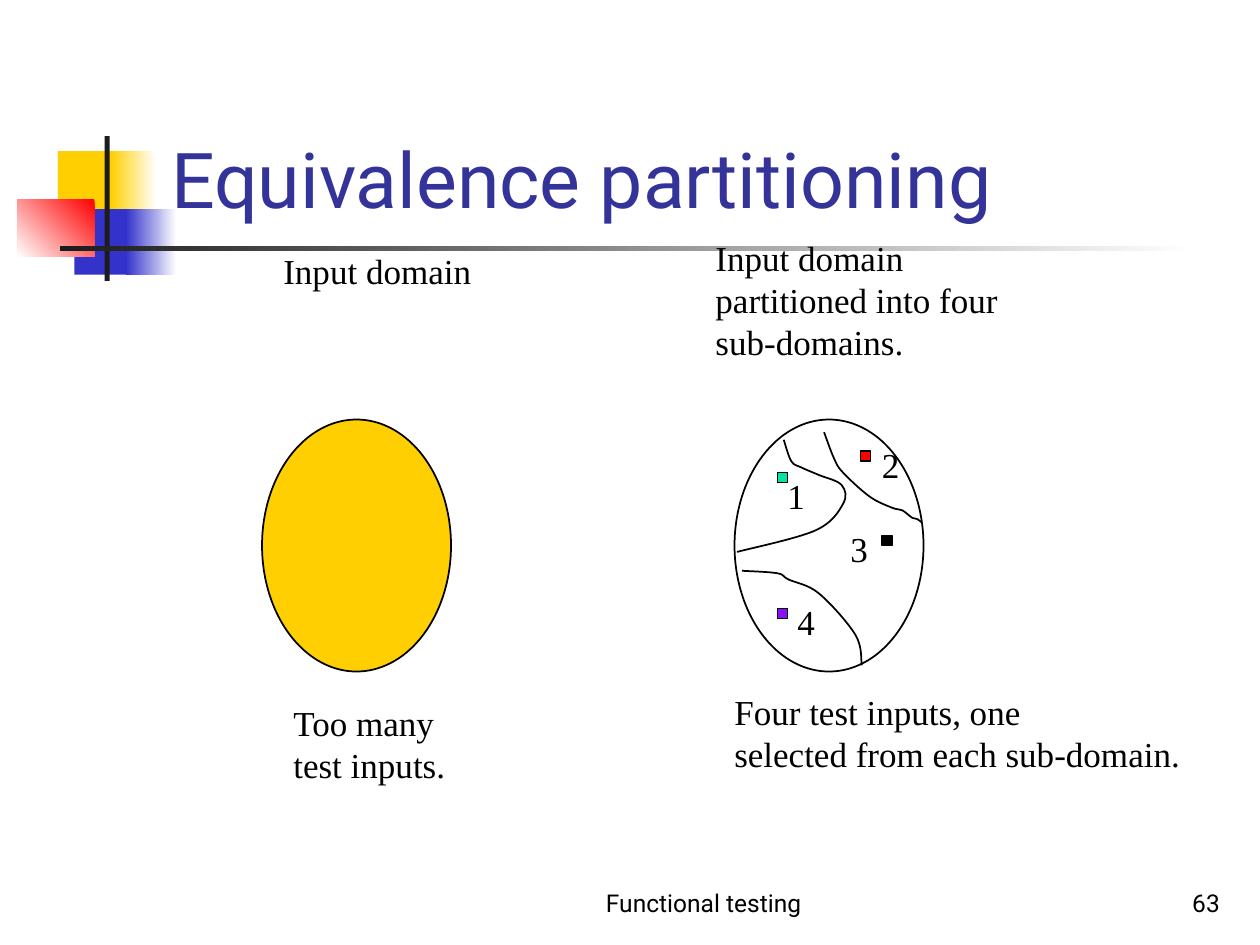
from dataclasses import dataclass
from typing import Optional

from lxml.etree import SubElement
from pptx import Presentation
from pptx.dml.color import RGBColor as Rgb
from pptx.enum.shapes import MSO_SHAPE as Kind
from pptx.enum.text import MSO_ANCHOR as Anchor, MSO_AUTO_SIZE as Fit, PP_ALIGN as Align
from pptx.oxml.ns import qn
from pptx.util import Inches, Pt

HUES = {
    "gold": "FFCF01", "blue": "3333CC", "red": "FF0000", "dark": "1C1C1C",
    "white": "FFFFFF", "black": "000000", "title": "333399",
    "mint": "00E4A8", "violet": "890FF7",
}
SANS, SERIF = "Roboto", "Times New Roman"
Point = tuple[float, float]
Box = tuple[float, float, float, float]


@dataclass
class Block:
    box: Box
    hue: Optional[str] = None
    fade: Optional[str] = None
    angle: float = 180
    kind: Kind = Kind.RECTANGLE
    edge: bool = False


@dataclass
class Label:
    box: Box
    lines: list[str]
    size: float = 20
    font: str = SERIF
    hue: str = "black"
    align: Align = Align.LEFT
    anchor: Anchor = Anchor.TOP
    wrap: bool = False


def color(name: str) -> Rgb:
    return Rgb.from_string(HUES[name])


def outline(shape) -> None:
    shape.shadow.inherit = False
    shape.line.color.rgb = color("black")
    shape.line.width = Pt(1)


def draw_block(shapes, item: Block) -> None:
    shape = shapes.add_shape(item.kind, *map(Inches, item.box))
    outline(shape)
    if not item.edge:
        shape.line.fill.background()
    if item.fade:
        shape.fill.gradient()
        shape.fill.gradient_angle = item.angle
        for stop, name in zip(shape.fill.gradient_stops, (item.hue, item.fade)):
            stop.color.rgb = color(name)
    elif item.hue:
        shape.fill.solid()
        shape.fill.fore_color.rgb = color(item.hue)
    else:
        shape.fill.background()


def draw_label(shapes, item: Label) -> None:
    frame = shapes.add_textbox(*map(Inches, item.box)).text_frame
    frame.word_wrap = item.wrap
    frame.auto_size = Fit.NONE if item.wrap else Fit.SHAPE_TO_FIT_TEXT
    frame.vertical_anchor = item.anchor
    for i, line in enumerate(item.lines):
        para = frame.add_paragraph() if i else frame.paragraphs[0]
        para.alignment = item.align
        run = para.add_run()
        run.text = line
        run.font.size = Pt(item.size)
        run.font.name = item.font
        run.font.color.rgb = color(item.hue)


def bend(knots: list[Point]) -> list[Point]:
    ends = [knots[0], *knots, knots[-1]]
    points = []
    for a, b, c, d in zip(ends, ends[1:], ends[2:], ends[3:]):
        points.append((b[0] + (c[0] - a[0]) / 6, b[1] + (c[1] - a[1]) / 6))
        points.append((c[0] - (d[0] - b[0]) / 6, c[1] - (d[1] - b[1]) / 6))
        points.append(c)
    return points


def draw_curve(shapes, knots: list[Point]) -> None:
    start, *rest = [(Inches(x), Inches(y)) for x, y in [knots[0], *bend(knots)]]
    pen = shapes.build_freeform(*start)
    pen.add_line_segments(rest, close=False)
    shape = pen.convert_to_shape()
    outline(shape)
    shape.fill.background()
    route = next(shape.element.iter(qn("a:path")))
    steps = route.findall(qn("a:lnTo"))
    for i in range(0, len(steps), 3):
        cubic = SubElement(route, qn("a:cubicBezTo"))
        for step in steps[i:i + 3]:
            cubic.append(step[0])
            route.remove(step)


DECOR = [
    Block((0.46, 1.2, 0.48, 0.52), "gold"),
    Block((0.88, 1.2, 0.36, 0.52), "white", "gold"),
    Block((0.59, 1.66, 0.46, 0.52), "blue"),
    Block((1, 1.66, 0.4, 0.52), "white", "blue"),
    Block((0.14, 1.58, 0.61, 0.46), "red", "white", 225),
    Block((0.83, 1.08, 0.04, 1.15), "dark"),
    Block((0.48, 1.95, 9, 0.04), "white", "dark"),
]
OVALS = [
    Block((2.08, 3.33, 1.5, 2), "gold", kind=Kind.OVAL, edge=True),
    Block((5.83, 3.33, 1.5, 2), kind=Kind.OVAL, edge=True),
]
CURVES = [
    [(6.54, 3.43), (6.62, 3.64), (6.69, 3.75), (6.9, 3.94), (7.08, 4.03),
     (7.16, 4.05), (7.24, 4.11), (7.28, 4.12), (7.32, 4.15)],
    [(5.89, 4.53), (6.17, 4.55), (6.26, 4.6), (6.5, 4.71), (6.79, 5.04), (6.84, 5.28)],
    [(5.85, 4.38), (6.47, 4.21), (6.69, 4), (6.68, 3.85), (6.5, 3.77),
     (6.36, 3.71), (6.28, 3.66), (6.22, 3.49)],
]
MARKS = [
    (6.17, 3.75, "mint"), (6.17, 4.83, "violet"),
    (7, 4.25, "black"), (6.83, 3.58, "red"),
]
DIGITS = [(6.15, 3.72), (6.9, 3.47), (6.65, 4.14), (6.23, 4.72)]
LABELS = [
    Label((1.26, 0.23, 8.52, 1.6), ["Equivalence partitioning"], 44, SANS, "title",
          anchor=Anchor.BOTTOM, wrap=True),
    Label((2.15, 1.93, 1.69, 0.44), ["Input domain"]),
    Label((5.58, 1.83, 2.51, 1.1),
          ["Input domain", "partitioned into four", "sub-domains."]),
    Label((2.23, 5.52, 1.45, 0.77), ["Too many", "test inputs."]),
    Label((5.73, 5.43, 3.74, 0.77),
          ["Four test inputs, one", "selected from each sub-domain."]),
    Label((4, 6.83, 3.17, 0.5), ["Functional testing"], 14, SANS,
          align=Align.CENTER, anchor=Anchor.BOTTOM, wrap=True),
    Label((7.7, 6.83, 2.08, 0.5), ["63"], 14, SANS,
          align=Align.RIGHT, anchor=Anchor.BOTTOM, wrap=True),
]


def main() -> None:
    deck = Presentation()
    deck.slide_width, deck.slide_height = Inches(10), Inches(7.5)
    shapes = deck.slides.add_slide(deck.slide_layouts[6]).shapes
    for item in DECOR + OVALS:
        draw_block(shapes, item)
    for knots in CURVES:
        draw_curve(shapes, knots)
    for x, y, hue in MARKS:
        draw_block(shapes, Block((x, y, 0.08, 0.08), hue, edge=True))
    for i, (x, y) in enumerate(DIGITS, 1):
        draw_label(shapes, Label((x, y, 0.34, 0.44), [str(i)]))
    for item in LABELS:
        draw_label(shapes, item)
    deck.save("out.pptx")


if __name__ == "__main__":
    main()
